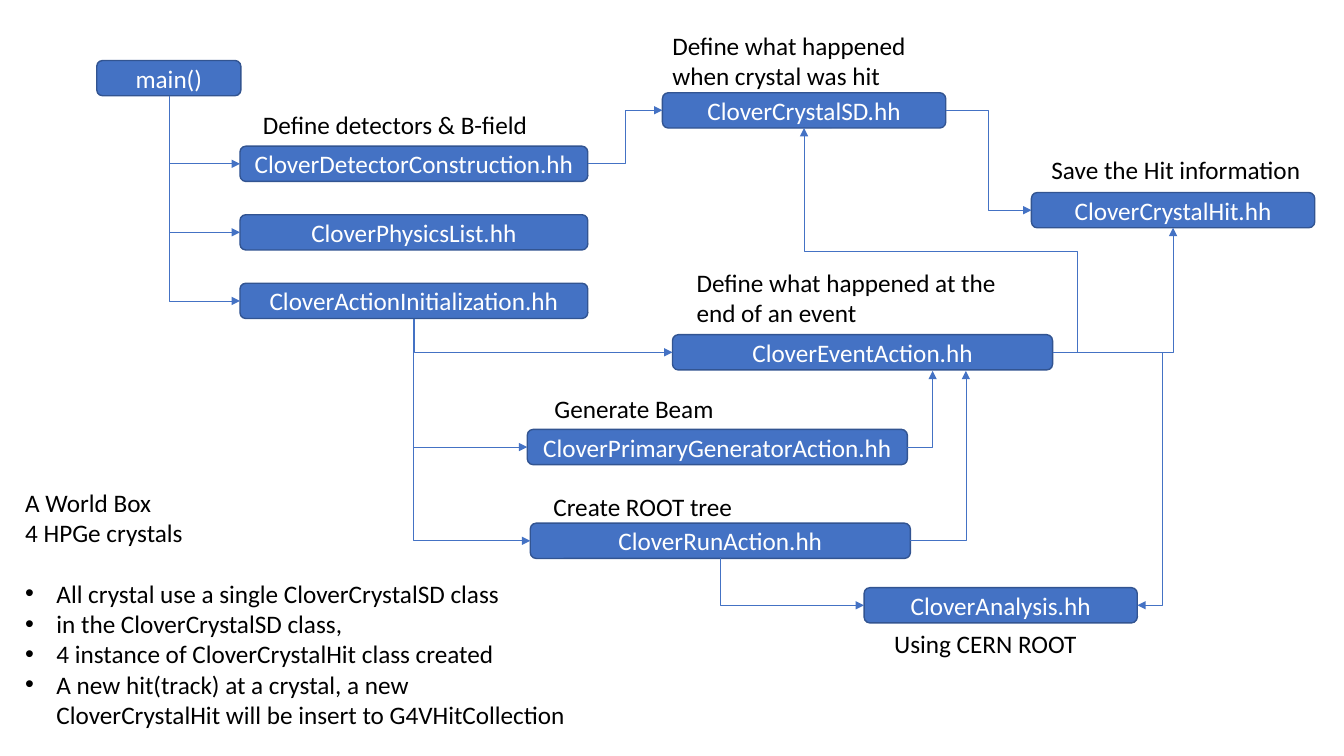
from pptx import Presentation
from pptx.dml.color import RGBColor
from pptx.enum.shapes import MSO_CONNECTOR as Connector, MSO_SHAPE as Shape
from pptx.enum.text import MSO_ANCHOR as Anchor, MSO_AUTO_SIZE as AutoSize, PP_ALIGN as Align
from pptx.oxml.ns import qn
from pptx.util import Inches, Pt
from lxml import etree

FONT = "Calibri"
BLUE, DARK_BLUE, WHITE, BLACK = "4472C4", "325491", "FFFFFF", "000000"
BOX_HEIGHT = 0.35
TOP, LEFT, BOTTOM, RIGHT = range(4)  # connection sites of a box

# Class name: left, top, width
BOXES = {
    "main()": (0.96, 0.6, 1.43),
    "CloverDetectorConstruction.hh": (2.38, 1.45, 3.45),
    "CloverPhysicsList.hh": (2.38, 2.13, 3.45),
    "CloverActionInitialization.hh": (2.38, 2.81, 3.45),
    "CloverCrystalSD.hh": (6.57, 0.92, 2.81),
    "CloverCrystalHit.hh": (10.23, 1.91, 2.81),
    "CloverPrimaryGeneratorAction.hh": (5.23, 4.26, 3.77),
    "CloverRunAction.hh": (5.26, 5.19, 3.77),
    "CloverEventAction.hh": (6.67, 3.32, 3.77),
    "CloverAnalysis.hh": (8.57, 5.83, 2.71),
}

# Text, left, top, width, height
LABELS = [
    ("Define what happened when crystal was hit", 6.57, 0.25, 2.81, 0.71),
    ("Save the Hit information", 10.33, 1.48, 2.81, 0.4),
    ("Using CERN ROOT", 8.77, 6.18, 2.81, 0.4),
    ("Define what happened at the end of an event", 6.81, 2.6, 3.45, 0.71),
    ("Generate Beam", 5.4, 3.85, 3.45, 0.4),
    ("Define detectors & B-field", 2.51, 1.04, 3.45, 0.4),
    ("Create ROOT tree", 5.39, 4.83, 3.45, 0.4),
]

FACTS = ["A World Box", "4 HPGe crystals"]
BULLETS = [
    "All crystal use a single CloverCrystalSD class",
    "in the CloverCrystalSD class,",
    "4 instance of CloverCrystalHit class created",
    "A new hit(track) at a crystal, a new CloverCrystalHit will be insert to G4VHitCollection",
]


def color(value):
    return RGBColor.from_string(value)


def format_text(paragraph, text_color):
    for run in paragraph.runs:
        run.font.name = FONT
        run.font.size = Pt(18)
        run.font.color.rgb = color(text_color)


def add_box(slide, name, left, top, width):
    shape = slide.shapes.add_shape(Shape.ROUNDED_RECTANGLE, Inches(left), Inches(top),
                                   Inches(width), Inches(BOX_HEIGHT))
    shape.shadow.inherit = False
    shape.fill.solid()
    shape.fill.fore_color.rgb = color(BLUE)
    shape.line.color.rgb = color(DARK_BLUE)
    shape.line.width = Pt(1)
    text_frame = shape.text_frame
    text_frame.text = name
    text_frame.vertical_anchor = Anchor.MIDDLE
    text_frame.paragraphs[0].alignment = Align.CENTER
    format_text(text_frame.paragraphs[0], WHITE)
    return shape


def add_label(slide, text, left, top, width, height):
    box = slide.shapes.add_textbox(Inches(left), Inches(top), Inches(width), Inches(height))
    box.text_frame.word_wrap = True
    box.text_frame.text = text
    format_text(box.text_frame.paragraphs[0], BLACK)


def add_arrow(slide, source, source_site, target, target_site=None, point=None,
              bends=1, adjustments=()):
    """Elbow arrow to a site of the target box, or to a free point on its edge."""
    x, y = point or (0, 0)
    connector = slide.shapes.add_connector(Connector.ELBOW, 0, 0, Inches(x), Inches(y))
    connector.begin_connect(source, source_site)
    if point is None:
        connector.end_connect(target, target_site)
    connector.line.color.rgb = color(BLUE)
    connector.line.width = Pt(0.5)
    properties = connector._element.spPr
    etree.SubElement(connector.line._get_or_add_ln(), qn("a:tailEnd"), type="triangle")
    etree.SubElement(properties, qn("a:effectLst"))

    # Preset with the wanted number of bends
    geometry = properties.find(qn("a:prstGeom"))
    geometry.set("prst", f"bentConnector{bends + 1}")
    guides = geometry.find(qn("a:avLst"))
    for number, value in enumerate(adjustments, 1):
        etree.SubElement(guides, qn("a:gd"), name=f"adj{number}",
                         fmla=f"val {round(value * 100000)}")

    # Leaving downwards: turn the frame a quarter about its centre
    if source_site == BOTTOM:
        width, height = connector.width, connector.height
        connector.left += (width - height) // 2
        connector.top += (height - width) // 2
        connector.width, connector.height = height, width
        frame = properties.find(qn("a:xfrm"))
        frame.set("rot", "16200000")
        frame.set("flipH", "1")


def add_notes_list(slide):
    body = slide.placeholders[1]
    body.left, body.top = Inches(0.15), Inches(4.78)
    body.width, body.height = Inches(5.58), Inches(2.52)
    text_frame = body.text_frame
    text_frame.text = "\n".join(FACTS + BULLETS)
    text_frame.auto_size = AutoSize.NONE
    text_frame.vertical_anchor = Anchor.TOP
    for index, paragraph in enumerate(text_frame.paragraphs):
        is_bullet = index >= len(FACTS)
        paragraph.space_before = Pt(22 if index == len(FACTS) else 0)
        format_text(paragraph, BLACK)
        properties = paragraph._p.get_or_add_pPr()
        indent = Inches(0.31) if is_bullet else 0
        properties.set("marL", str(indent))
        properties.set("indent", str(-indent))
        if is_bullet:
            etree.SubElement(properties, qn("a:buFont"), typeface="Arial")
            etree.SubElement(properties, qn("a:buChar"), char="•")
        else:
            etree.SubElement(properties, qn("a:buNone"))


def main():
    presentation = Presentation()
    presentation.slide_width, presentation.slide_height = Inches(13.33), Inches(7.5)
    slide = presentation.slides.add_slide(presentation.slide_layouts[1])
    title = slide.shapes.title._element
    title.getparent().remove(title)

    # Classes
    boxes = {name: add_box(slide, name, *place) for name, place in BOXES.items()}
    (program, detector, physics, action, crystal, hit,
     generator, run_action, event, analysis) = boxes.values()

    # Branches that go down and then right
    branches = [(program, (detector, physics, action)),
                (action, (event, generator, run_action)),
                (run_action, (analysis,))]
    for source, targets in branches:
        for target in targets:
            add_arrow(slide, source, BOTTOM, target, LEFT)

    # Detector to crystal to hit
    add_arrow(slide, detector, RIGHT, crystal, LEFT, bends=2)
    add_arrow(slide, crystal, RIGHT, hit, LEFT, bends=2)

    # Actions that feed the event
    for source, x in ((generator, 9.25), (run_action, 9.58)):
        add_arrow(slide, source, RIGHT, event, point=(x, 3.68))

    # Event to hit, analysis and crystal
    add_arrow(slide, event, RIGHT, hit, BOTTOM)
    add_arrow(slide, event, RIGHT, analysis, RIGHT, bends=2, adjustments=[1.3])
    add_arrow(slide, event, RIGHT, crystal, BOTTOM, bends=3, adjustments=[-0.1, 0.45])

    # Texts
    for label in LABELS:
        add_label(slide, *label)
    add_notes_list(slide)

    presentation.save("out.pptx")


main()
